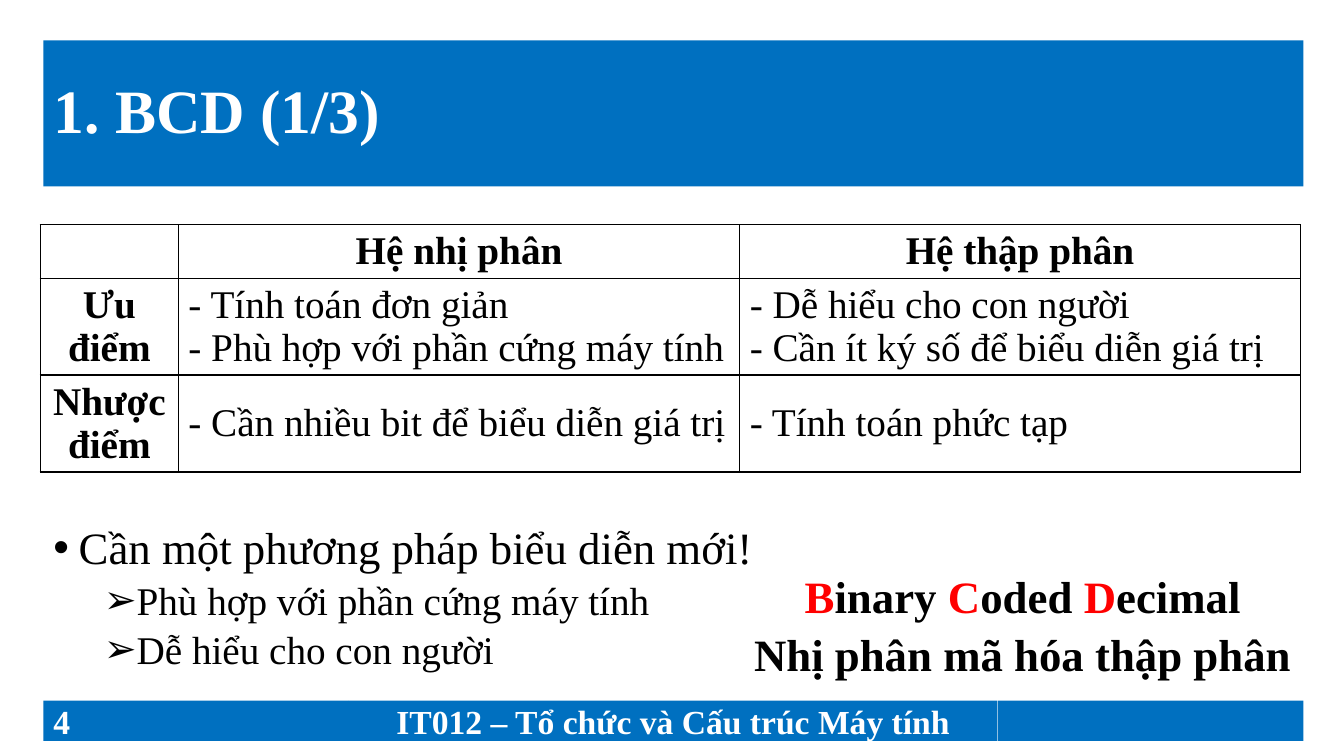
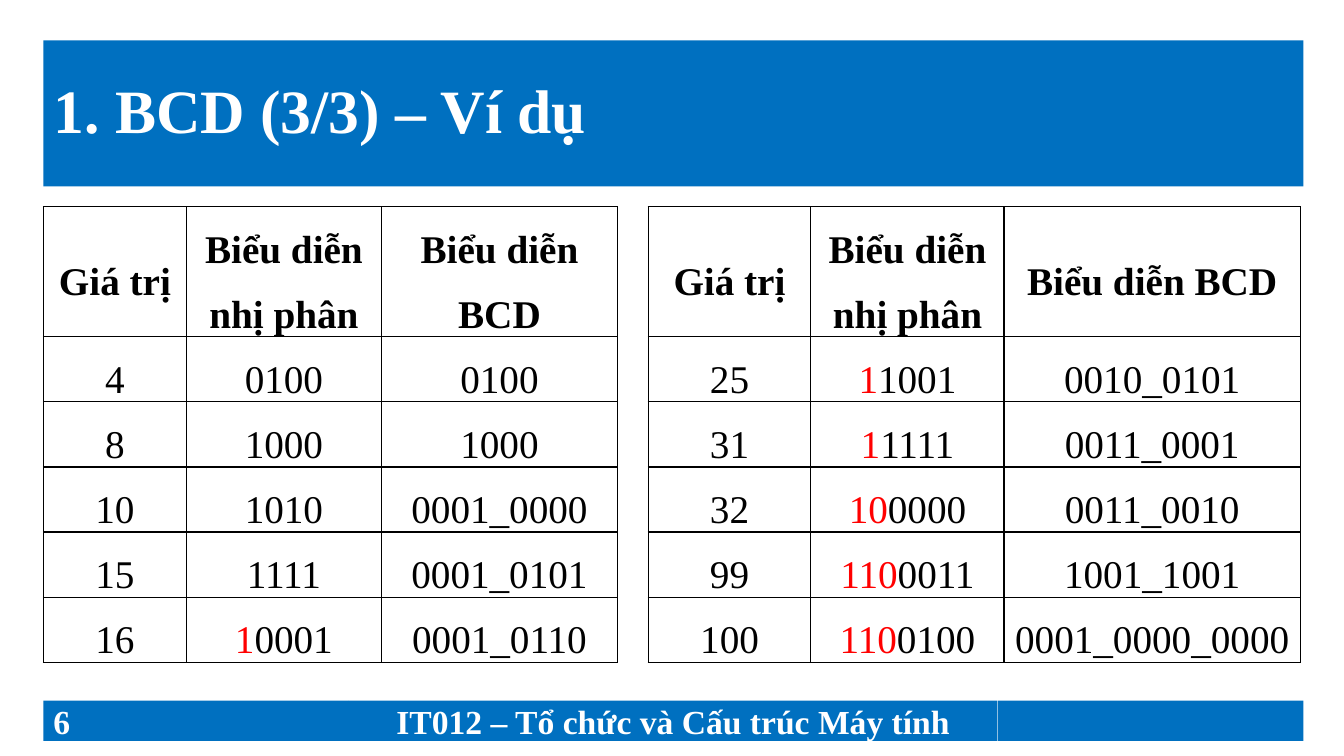
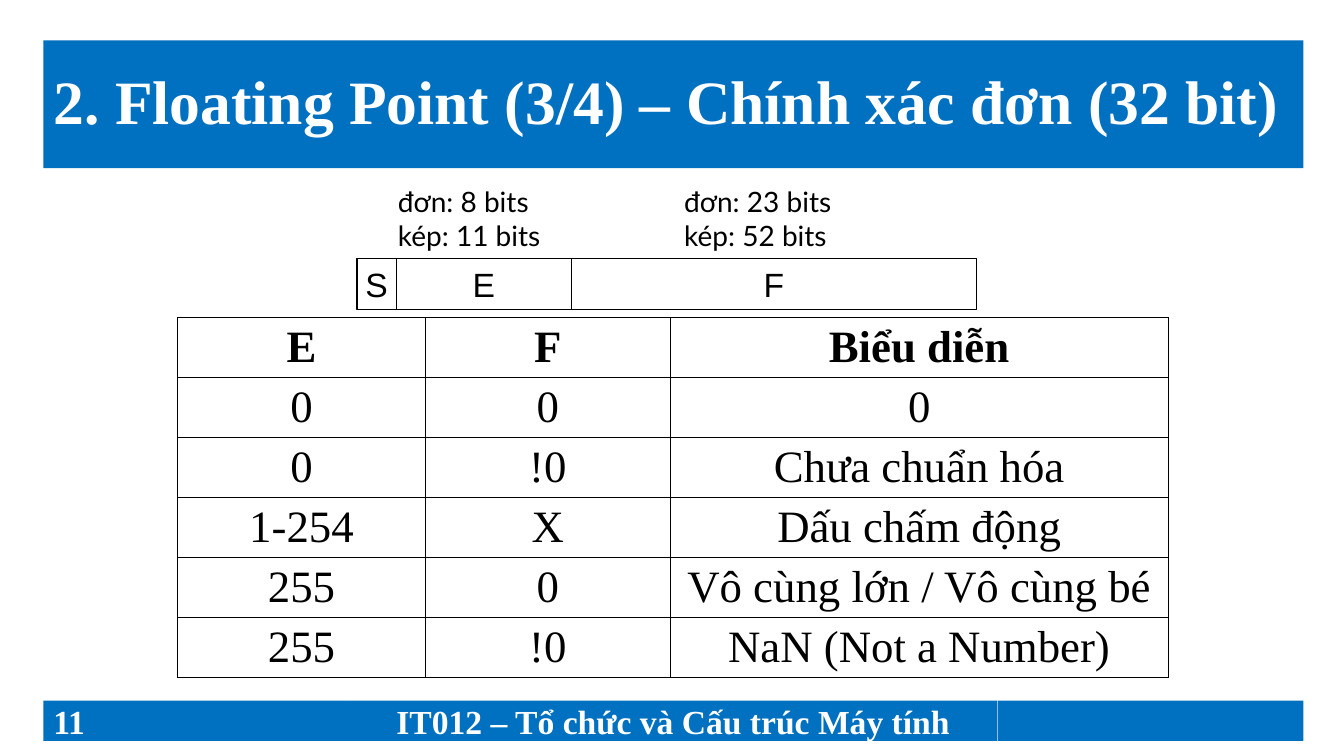
from dataclasses import dataclass
from typing import NamedTuple

from lxml.etree import SubElement
from pptx import Presentation
from pptx.dml.color import RGBColor
from pptx.enum.shapes import MSO_SHAPE
from pptx.enum.text import MSO_ANCHOR, MSO_AUTO_SIZE, PP_ALIGN
from pptx.oxml.ns import qn
from pptx.shapes.autoshape import Shape
from pptx.slide import Slide
from pptx.text.text import TextFrame
from pptx.util import Pt

HUES = {"band": "0070C0", "ink": "000000", "mark": "FF0000", "pale": "FFFFFF"}
SERIF = "Times New Roman"
COURSE = "IT012 – Tổ chức và Cấu trúc Máy tính"
LEFT, CENTER = PP_ALIGN.LEFT, PP_ALIGN.CENTER


class Box(NamedTuple):
    left: float
    top: float
    width: float
    height: float


class Look(NamedTuple):
    size: float
    bold: bool = False
    hue: str = "ink"
    font: str = SERIF
    align: PP_ALIGN = LEFT
    line: float = 1.0
    gap: float = 0


class Point(NamedTuple):
    text: str
    level: int
    sign: str
    look: Look


class Field(NamedTuple):
    name: str
    left: float
    width: float


@dataclass
class Grid:
    left: float
    top: float
    cols: list[float]
    rows: list[float]
    cells: list[list[str]]
    size: float
    line: float = 1.0
    side: float = 7.2
    edge: float = 3.6
    listed: bool = False
    headed: bool = False


TITLE = Look(44, True, "pale", line=0.9)
FOOT = Look(24, True, "pale")
CALL = Look(32, True, align=CENTER, gap=3)
LABEL = Look(20, font="Lato")
BIT = Look(24, font="Arial", align=CENTER)

POINTS = [
    Point("Cần một phương pháp biểu diễn mới!", 0, "•", Look(32, line=0.9)),
    Point("Phù hợp với phần cứng máy tính", 1, "➢", Look(28, line=0.9, gap=5)),
    Point("Dễ hiểu cho con người", 1, "➢", Look(28, line=0.9, gap=5)),
]

SYSTEMS = Grid(28.8, 160.5, [98.6, 401, 400.4], [38.2, 69.2, 69.2], [
    ["", "Hệ nhị phân", "Hệ thập phân"],
    ["Ưu điểm", "- Tính toán đơn giản\n- Phù hợp với phần cứng máy tính",
     "- Dễ hiểu cho con người\n- Cần ít ký số để biểu diễn giá trị"],
    ["Nhược điểm", "- Cần nhiều bit để biểu diễn giá trị", "- Tính toán phức tạp"],
], 28, listed=True, headed=True)

HEADS = ["Giá trị", "Biểu diễn nhị phân", "Biểu diễn BCD"]
CODES = [
    Grid(31, 147.6, [102.2, 139.2, 168.8], [93] + [46.5] * 5, [
        HEADS,
        ["4", "0100", "0100"],
        ["8", "1000", "1000"],
        ["10", "1010", "0001_0000"],
        ["15", "1111", "0001_0101"],
        ["16", "*1*0001", "0001_0110"],
    ], 28, line=1.5, side=5, edge=0),
    Grid(463, 147.6, [116.2, 138, 211.6], [93] + [46.5] * 5, [
        HEADS,
        ["25", "*1*1001", "0010_0101"],
        ["31", "*1*1111", "0011_0001"],
        ["32", "*10*0000", "0011_0010"],
        ["99", "*110*0011", "1001_1001"],
        ["100", "*110*0100", "0001_0000_0000"],
    ], 28, line=1.5, side=5, edge=0),
]

RANGES = Grid(126.7, 227, [177.3, 174.8, 355.7], [42.8] * 6, [
    ["E", "F", "Biểu diễn"],
    ["0", "0", "0"],
    ["0", "!0", "Chưa chuẩn hóa"],
    ["1-254", "X", "Dấu chấm động"],
    ["255", "0", "Vô cùng lớn / Vô cùng bé"],
    ["255", "!0", "NaN (Not a Number)"],
], 32)

FIELDS = [Field("S", 254.9, 28.2), Field("E", 283.1, 125), Field("F", 408.1, 289.4)]
LABELS = [
    ("đơn: 8 bits\nkép: 11 bits", Box(277.2, 128.2, 119.5, 55.4)),
    ("đơn: 23 bits\nkép: 52 bits", Box(481.7, 128.2, 122.4, 55.4)),
]


def tint(key: str) -> RGBColor:
    return RGBColor.from_string(HUES[key])


def place(box: Box) -> list[Pt]:
    return [Pt(value) for value in box]


def add_sign(para, sign: str, level: int) -> None:
    props = para._p.get_or_add_pPr()
    props.set("marL", str(Pt(18 + 36 * level)))
    props.set("indent", str(-Pt(18)))
    SubElement(props, qn("a:buFont")).set("typeface", "Arial")
    SubElement(props, qn("a:buChar")).set("char", sign)


def style(para, look: Look, first: bool) -> None:
    para.alignment = look.align
    para.line_spacing = look.line
    para.space_before = Pt(0 if first else look.gap)
    font = para.font
    font.name, font.size, font.bold = look.font, Pt(look.size), look.bold
    font.color.rgb = tint(look.hue)


def write(frame: TextFrame, text: str, look: Look) -> None:
    for row, line in enumerate(text.split("\n")):
        para = frame.add_paragraph() if row else frame.paragraphs[0]
        style(para, look, row == 0)
        for turn, part in enumerate(line.split("*")):
            if part:
                run = para.add_run()
                run.text = part
                if turn % 2:
                    run.font.color.rgb = tint("mark")


def add_rect(slide: Slide, box: Box, text: str, look: Look, filled: bool) -> None:
    rect = slide.shapes.add_shape(MSO_SHAPE.RECTANGLE, *place(box))
    rect.shadow.inherit = False
    if filled:
        rect.fill.solid()
        rect.fill.fore_color.rgb = tint("band")
        rect.line.fill.background()
    else:
        rect.fill.background()
        rect.line.color.rgb = tint("ink")
        rect.line.width = Pt(1)
    frame = rect.text_frame
    frame.vertical_anchor = MSO_ANCHOR.MIDDLE
    frame.margin_top = frame.margin_bottom = 0
    if not filled:
        frame.margin_left = frame.margin_right = 0
    if text:
        write(frame, text, look)


def add_label(slide: Slide, box: Box, text: str, look: Look, wrap: bool) -> None:
    frame = slide.shapes.add_textbox(*place(box)).text_frame
    frame.word_wrap = wrap
    write(frame, text, look)


def set_holder(holder: Shape, box: Box, anchor: MSO_ANCHOR) -> TextFrame:
    holder.left, holder.top, holder.width, holder.height = place(box)
    frame = holder.text_frame
    frame.auto_size = MSO_AUTO_SIZE.NONE
    frame.word_wrap = True
    frame.vertical_anchor = anchor
    return frame


def add_slide(deck, layout: int, title: str, number: int, height: float = 104.4) -> Slide:
    slide = deck.slides.add_slide(deck.slide_layouts[layout])
    head = slide.shapes.title
    head.fill.solid()
    head.fill.fore_color.rgb = tint("band")
    write(set_holder(head, Box(31, 28.8, 900, height), MSO_ANCHOR.MIDDLE), title, TITLE)
    for left, width, text, align in [
        (31, 218.2, str(number), LEFT),
        (249.2, 463.2, COURSE, CENTER),
        (712.8, 218.2, "", LEFT),
    ]:
        add_rect(slide, Box(left, 500.4, width, 28.8), text, FOOT._replace(align=align), True)
    return slide


def add_edges(cell) -> None:
    props = cell._tc.get_or_add_tcPr()
    for side in ("lnL", "lnR", "lnT", "lnB"):
        edge = SubElement(props, qn(f"a:{side}"))
        edge.set("w", str(Pt(1)))
        fill = SubElement(edge, qn("a:solidFill"))
        SubElement(fill, qn("a:srgbClr")).set("val", HUES["ink"])


def add_grid(slide: Slide, grid: Grid) -> None:
    box = Box(grid.left, grid.top, sum(grid.cols), sum(grid.rows))
    table = slide.shapes.add_table(len(grid.rows), len(grid.cols), *place(box)).table
    table.first_row = table.horz_banding = False
    for col, width in zip(table.columns, grid.cols):
        col.width = Pt(width)
    for row, height in zip(table.rows, grid.rows):
        row.height = Pt(height)
    for down, texts in enumerate(grid.cells):
        for across, text in enumerate(texts):
            cell = table.cell(down, across)
            add_edges(cell)
            cell.fill.background()
            cell.vertical_anchor = MSO_ANCHOR.MIDDLE
            cell.margin_left = cell.margin_right = Pt(grid.side)
            cell.margin_top = cell.margin_bottom = Pt(grid.edge)
            bold = down == 0 or (grid.headed and across == 0)
            align = LEFT if grid.listed and not bold else CENTER
            if text:
                write(cell.text_frame, text, Look(grid.size, bold, align=align, line=grid.line))


def add_points(slide: Slide, box: Box, points: list[Point]) -> None:
    frame = set_holder(slide.placeholders[1], box, MSO_ANCHOR.TOP)
    for row, point in enumerate(points):
        para = frame.add_paragraph() if row else frame.paragraphs[0]
        para.level = point.level
        add_sign(para, point.sign, point.level)
        style(para, point.look, row == 0)
        para.add_run().text = point.text


def main() -> None:
    deck = Presentation()
    deck.slide_width, deck.slide_height = Pt(960), Pt(540)

    slide = add_slide(deck, 1, "1. BCD (1/3)", 4)
    add_points(slide, Box(31, 372, 900, 115), POINTS)
    add_grid(slide, SYSTEMS)
    add_label(slide, Box(527.8, 402.5, 405.4, 85),
              "*B*inary *C*oded *D*ecimal\nNhị phân mã hóa thập phân", CALL, True)

    slide = add_slide(deck, 5, "1. BCD (3/3) – Ví dụ", 6)
    for grid in CODES:
        add_grid(slide, grid)

    slide = add_slide(deck, 5, "2. Floating Point (3/4) – Chính xác đơn (32 bit)", 11, 91.4)
    add_grid(slide, RANGES)
    for field in FIELDS:
        add_rect(slide, Box(field.left, 184.5, field.width, 36.7), field.name, BIT, False)
    for text, box in LABELS:
        add_label(slide, box, text, LABEL, False)

    deck.save("out.pptx")


if __name__ == "__main__":
    main()
